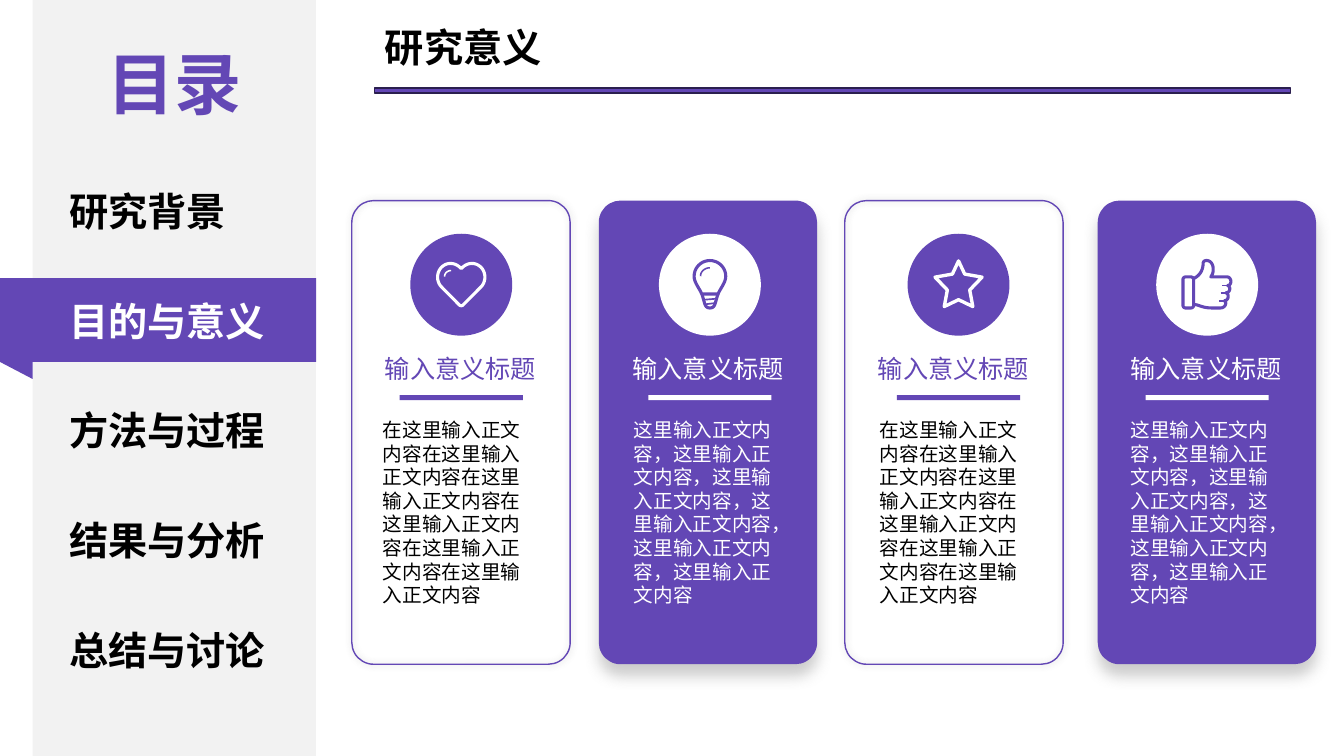
from lxml import etree
from pptx import Presentation
from pptx.dml.color import RGBColor
from pptx.enum.shapes import MSO_SHAPE
from pptx.enum.text import MSO_ANCHOR, MSO_AUTO_SIZE, PP_ALIGN
from pptx.oxml.ns import qn
from pptx.util import Pt

RECTANGLE = MSO_SHAPE.RECTANGLE
ROUNDED = MSO_SHAPE.ROUNDED_RECTANGLE
OVAL = MSO_SHAPE.OVAL
RIGHT_TRIANGLE = MSO_SHAPE.RIGHT_TRIANGLE
LEFT, CENTER = PP_ALIGN.LEFT, PP_ALIGN.CENTER
TOP = MSO_ANCHOR.TOP
GROW = MSO_AUTO_SIZE.SHAPE_TO_FIT_TEXT

FONT = "Noto Sans CJK SC"
PURPLE, WHITE, BLACK, GREY, DARK = "6347B5", "FFFFFF", "000000", "F2F2F2", "2B1F4F"


def paint(shape, fill=None, line=None, width=1):
    shape.shadow.inherit = False
    for part, color in ((shape.fill, fill), (shape.line.fill, line)):
        if color:
            part.solid()
            part.fore_color.rgb = RGBColor.from_string(color)
        else:
            part.background()
    if line:
        shape.line.width = Pt(width)
    return shape


def write(box, place, text, size, color, bold=False, align=LEFT):
    for name, value in zip(("left", "top", "width", "height"), place):
        setattr(box, name, Pt(value))
    frame = box.text_frame
    frame_format = {"word_wrap": True, "auto_size": GROW, "vertical_anchor": TOP}
    for name, value in frame_format.items():
        setattr(frame, name, value)
    paragraph = frame.paragraphs[0]
    paragraph.alignment = align
    run = paragraph.add_run()
    run.text = text
    for name, value in {"size": Pt(size), "bold": bold, "name": FONT}.items():
        setattr(run.font, name, value)
    run.font.color.rgb = RGBColor.from_string(color)
    etree.SubElement(run.font._element, qn("a:ea"), typeface=FONT)


prs = Presentation()
prs.slide_width, prs.slide_height = Pt(960), Pt(540)
slide = prs.slides.add_slide(prs.slide_layouts[5])
shapes = slide.shapes

write(shapes.title, (267.8, 13, 355, 41), "研究意义", 28, BLACK, True)

paint(shapes.add_shape(RECTANGLE, Pt(23.3), 0, Pt(202.3), Pt(540)), GREY)
paint(shapes.add_shape(RECTANGLE, 0, Pt(198.7), Pt(225.8), Pt(59.8)), PURPLE)
ribbon_fold = paint(shapes.add_shape(RIGHT_TRIANGLE, 0, Pt(258.5), Pt(23.3), Pt(12.2)), PURPLE)
ribbon_fold.rotation = 180
paint(shapes.add_shape(RECTANGLE, Pt(267.4), Pt(62.8), Pt(654.5), Pt(3.6)), PURPLE, DARK)

write(shapes.add_textbox(0, 0, 0, 0), (54.7, 26.6, 139.7, 65.5), "目录", 48, PURPLE, True, CENTER)
chapters = ["研究背景", "目的与意义", "方法与过程", "结果与分析", "总结与讨论"]
for row, chapter in enumerate(chapters):
    color = WHITE if chapter == "目的与意义" else BLACK
    place = (42.5, 130.2 + 78.4 * row, 159, 41)
    write(shapes.add_textbox(0, 0, 0, 0), place, chapter, 28, color, True)

heart = [
    (2.2, [(0, -11.5), (-4.3, -16.3, -10.3, -16.3, -14.2, -12.4),
           (-17.8, -8.6, -17.8, -2.2, -14.2, 1.5), (-1.4, 14.4),
           (-0.7, 15.2, 0.7, 15.2, 1.4, 14.4), (14.2, 1.5),
           (17.8, -2.2, 17.8, -8.6, 14.2, -12.4), (10.3, -16.3, 4.3, -16.3, 0, -11.5)]),
    (1.1, [(-11.9, -5.8), (-11.9, -8.2, -9.8, -10.1, -7.3, -10.1)]),
]
bulb = [
    (2.2, [(-5.8, 6.6), (-7.5, 2.5, -11.3, -1.5, -11.3, -6.1),
           (-11.3, -12.3, -6.2, -17.3, 0, -17.3), (6.2, -17.3, 11.3, -12.3, 11.3, -6.1),
           (11.3, -1.5, 7.5, 2.5, 5.8, 6.6), (-5.8, 6.6)]),
    (2.2, [(-5.8, 6.6), (-3.5, 13, -4, 16.6, 0, 16.6), (4, 16.6, 3.5, 13, 5.8, 6.6)]),
    (1.2, [(-4.3, 10.7), (4.3, 10)]),
    (1.2, [(-3.5, 14), (3, 13.2)]),
    (1.1, [(-6.7, -6.1), (-6.7, -9.5, -3.6, -12.1, 0, -12.1)]),
]
star = [
    (2.4, [(0, -17), (4.4, -7.6), (16.8, -5.4), (8, 3.8), (10.2, 15.6), (0, 10.7),
           (-10.2, 15.6), (-8, 3.8), (-16.8, -5.4), (-4.4, -7.6), (0, -17)]),
]
thumb = [
    (2.2, [(-15.2, -5.6), (-11.8, -5.6), (-10.4, -5.6, -9.7, -4.8, -9.7, -3.6), (-9.7, 14.6),
           (-9.7, 15.8, -10.4, 16.6, -11.8, 16.6), (-15.2, 16.6),
           (-16.5, 16.6, -17.3, 15.8, -17.3, 14.6), (-17.3, -3.6),
           (-17.3, -4.8, -16.5, -5.6, -15.2, -5.6)]),
    (2.2, [(-9.7, -4.4), (-5, -6.5, -2.9, -11, -2.9, -15.2),
           (-2.9, -16.6, -1.8, -17.3, -0.4, -17.3), (2.5, -17.3, 4.3, -14.5, 4.3, -11.2),
           (4.3, -8.5, 3.9, -7.5, 2.6, -5.6), (14, -5.6), (17.8, -5.6, 17.8, 0.6, 14.6, 0.6),
           (17.2, 1.4, 16.4, 5.8, 13.4, 5.8), (16, 6.6, 15.4, 11.5, 12.2, 11.5),
           (14.4, 12.6, 13, 16.6, 9.5, 16.6), (3, 16.6), (-4, 16.6, -6, 14, -9.7, 14.2)]),
    (1.1, [(10.8, 0.6), (14.6, 0.6)]),
    (1.1, [(9.6, 5.8), (13.4, 5.8)]),
    (1.1, [(8.7, 11.5), (12.2, 11.5)]),
]

light = {
    "card": None, "edge": PURPLE, "accent": PURPLE, "icon": WHITE, "text": BLACK,
    "body": "在这里输入正文内容" * 6, "body_width": 126, "shadow": (5, 0, 0),
}
solid = {
    "card": PURPLE, "edge": None, "accent": WHITE, "icon": PURPLE, "text": WHITE,
    "body": "，".join(["这里输入正文内容"] * 6), "body_width": 122.4, "shadow": (11, 8, 90),
}
cards = [
    (light, heart, 251.3, 329, 266.4),
    (solid, bulb, 427.7, 505.8, 445.7),
    (light, star, 603.4, 681.1, 621.4),
    (solid, thumb, 784.1, 861.5, 800.6),
]
middle_y = 203.4
for column, (look, icon, card_left, heading_middle, body_left) in enumerate(cards):
    middle_x = 329.5 + 177.6 * column
    card = shapes.add_shape(ROUNDED, Pt(card_left), Pt(143.3), Pt(156), Pt(331.2))
    card.adjustments[0] = 0.1
    paint(card, look["card"], look["edge"])
    blur, distance, angle = look["shadow"]
    shadow = etree.SubElement(
        card._element.spPr.find(qn("a:effectLst")), qn("a:outerShdw"),
        blurRad=str(Pt(blur)), dist=str(Pt(distance)), dir=str(angle * 60000),
        algn="ctr", rotWithShape="0")
    tint = etree.SubElement(shadow, qn("a:srgbClr"), val="808080")
    etree.SubElement(tint, qn("a:alpha"), val="40000")

    badge = shapes.add_shape(OVAL, Pt(middle_x - 36.4), Pt(middle_y - 36.4), Pt(72.8), Pt(72.8))
    paint(badge, look["accent"])
    for width, steps in icon:
        points = [steps[0]]
        for step in steps[1:]:
            if len(step) == 2:
                points.append(step)
                continue
            controls = [points[-1], step[:2], step[2:4], step[4:]]
            for t in (n / 10 for n in range(1, 11)):
                weights = ((1 - t) ** 3, 3 * t * (1 - t) ** 2, 3 * t * t * (1 - t), t ** 3)
                points.append(tuple(
                    sum(w * c[axis] for w, c in zip(weights, controls)) for axis in (0, 1)))
        outline = [(Pt(middle_x + x), Pt(middle_y + y)) for x, y in points]
        builder = shapes.build_freeform(*outline[0])
        builder.add_line_segments(outline[1:], close=steps[0] == steps[-1][-2:])
        stroke = paint(builder.convert_to_shape(), None, look["icon"], width)
        etree.SubElement(stroke.line._get_or_add_ln(), qn("a:round"))

    write(shapes.add_textbox(0, 0, 0, 0), (heading_middle - 64, 249.1, 128, 29),
          "输入意义标题", 18, look["accent"], align=CENTER)
    paint(shapes.add_shape(RECTANGLE, Pt(middle_x - 44), Pt(282.2), Pt(88), Pt(3.6)), look["accent"])
    write(shapes.add_textbox(0, 0, 0, 0), (body_left, 295.2, look["body_width"], 160),
          look["body"], 14, look["text"])

prs.save("out.pptx")
